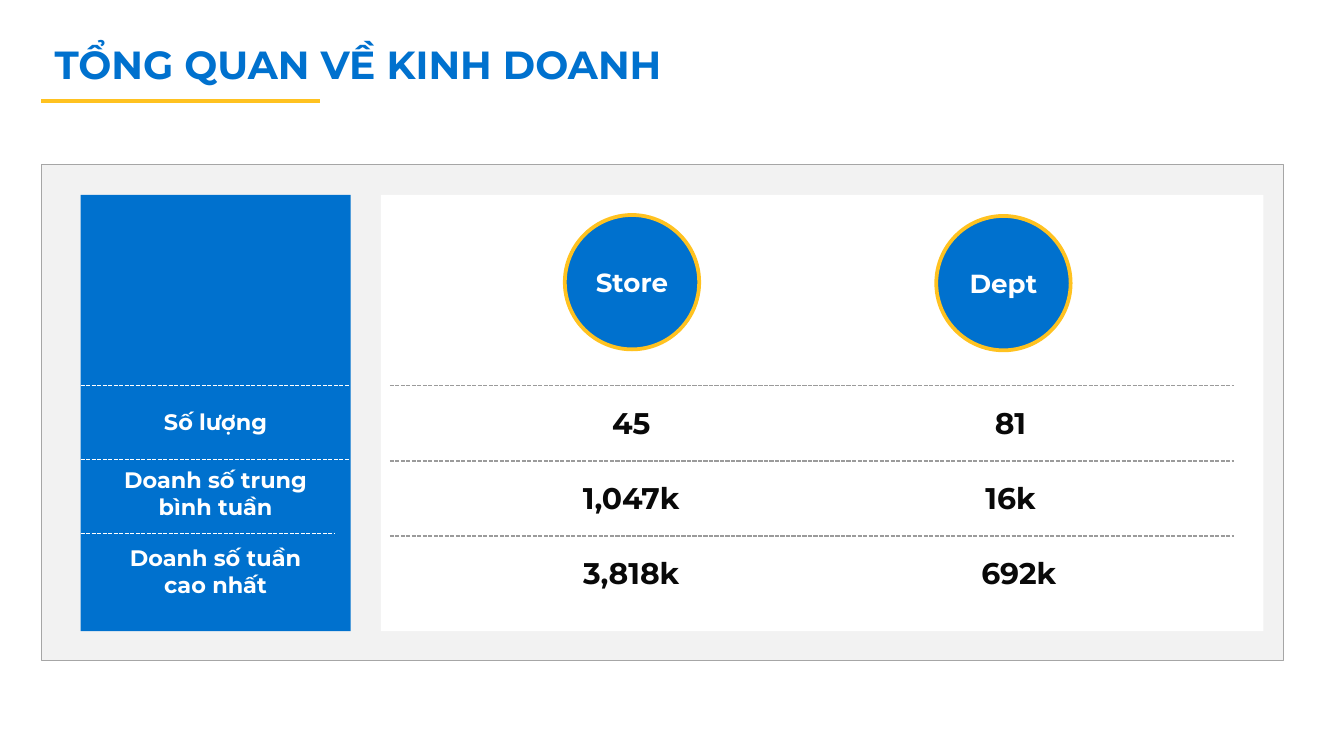
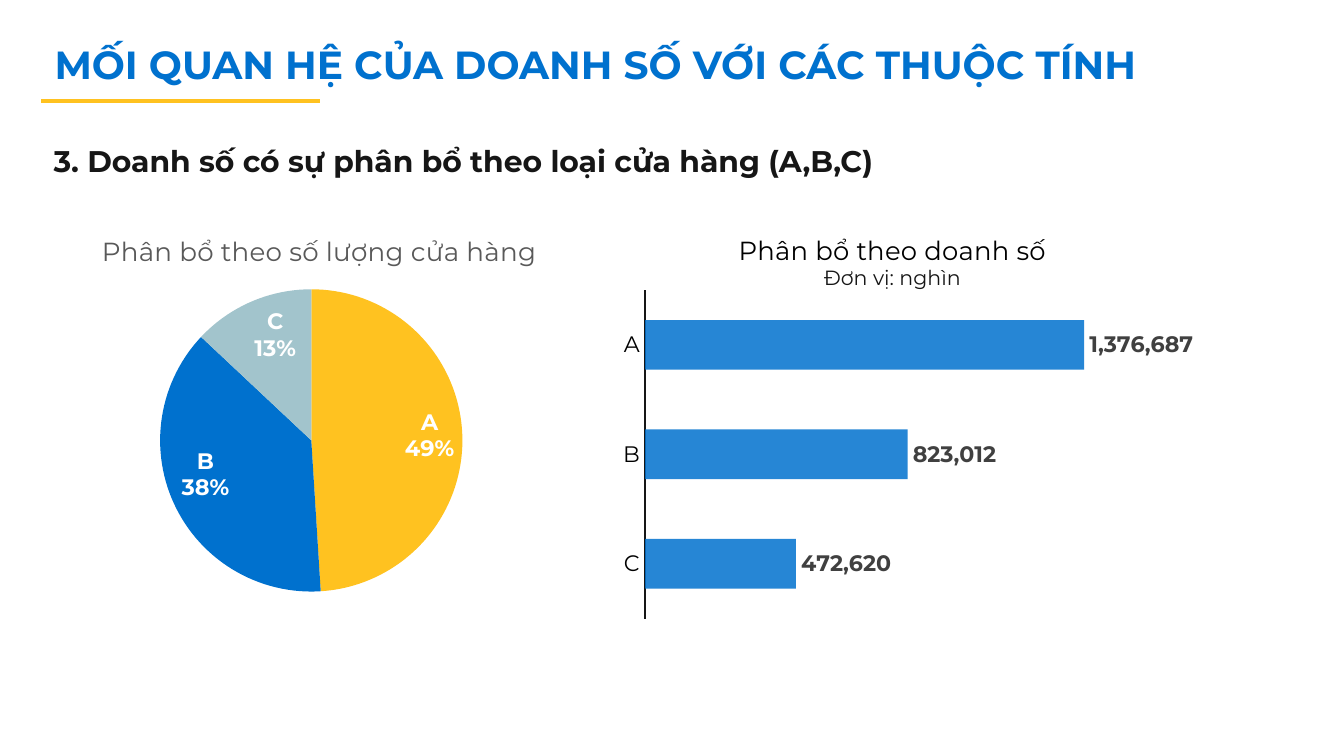
from lxml.etree import SubElement
from pptx import Presentation
from pptx.chart.data import CategoryChartData
from pptx.dml.color import RGBColor
from pptx.enum.chart import XL_CHART_TYPE, XL_LABEL_POSITION, XL_TICK_MARK
from pptx.enum.dml import MSO_LINE
from pptx.enum.shapes import MSO_CONNECTOR, MSO_SHAPE
from pptx.enum.text import MSO_ANCHOR, MSO_AUTO_SIZE, PP_ALIGN
from pptx.oxml.ns import qn
from pptx.util import Pt

FONT = "Montserrat"
HUES = {
    "blue": "0071CE", "gold": "FFC220", "teal": "A2C4CC", "white": "FFFFFF",
    "panel": "F2F2F2", "edge": "A6A6A6", "rule": "9B9B9B", "black": "000000",
    "ink": "090909", "dark": "161616", "label": "404040", "grey": "595959",
}


def tint(name):
    """Return the named colour."""
    return RGBColor.from_string(HUES[name])


def style(font, size, hue, bold=False):
    """Set face, size, colour and weight of a font."""
    font.name, font.size, font.bold = FONT, Pt(size), bold
    font.color.rgb = tint(hue)


def write(frame, text, size=12, hue="dark", bold=False, align=PP_ALIGN.LEFT):
    """Fill a text frame with one formatted paragraph."""
    para = frame.paragraphs[0]
    para.alignment = align
    run = para.add_run()
    run.text = text
    style(run.font, size, hue, bold)


def label(slide, text, left, top, width, height, **form):
    """Add a wrapped text box."""
    box = slide.shapes.add_textbox(Pt(left), Pt(top), Pt(width), Pt(height))
    box.text_frame.word_wrap = True
    write(box.text_frame, text, **form)


def shape(slide, kind, left, top, width, height, fill, edge=None, weight=1):
    """Add a flat filled shape with an optional outline."""
    item = slide.shapes.add_shape(kind, Pt(left), Pt(top), Pt(width), Pt(height))
    item.shadow.inherit = False
    item.fill.solid()
    item.fill.fore_color.rgb = tint(fill)
    if edge:
        item.line.color.rgb = tint(edge)
        item.line.width = Pt(weight)
    else:
        item.line.fill.background()
    return item


def rule(slide, left, right, top, hue, weight=0.75, dash=MSO_LINE.SQUARE_DOT):
    """Add a horizontal line."""
    line = slide.shapes.add_connector(
        MSO_CONNECTOR.STRAIGHT, Pt(left), Pt(top), Pt(right), Pt(top))
    line.line.color.rgb = tint(hue)
    line.line.width = Pt(weight)
    line.line.dash_style = dash
    SubElement(line._element.spPr, qn("a:effectLst"))


def page(deck, text):
    """Add a slide with the shared title and underline."""
    slide = deck.slides.add_slide(deck.slide_layouts[5])
    title = slide.shapes.title
    title.left, title.top, title.width, title.height = Pt(22), Pt(18), Pt(687), Pt(32.4)
    frame = title.text_frame
    frame.auto_size = MSO_AUTO_SIZE.NONE
    frame.vertical_anchor = MSO_ANCHOR.TOP
    write(frame, text, size=21, hue="blue", bold=True)
    rule(slide, 22, 171.4, 54, "gold", 2.25, MSO_LINE.SOLID)
    return slide


def badge(slide, text, left, top):
    """Add a ringed circle holding a column name."""
    disc = shape(slide, MSO_SHAPE.OVAL, left, top, 72, 72, "blue", "gold", 2)
    frame = disc.text_frame
    frame.margin_left = frame.margin_right = 0
    frame.vertical_anchor = MSO_ANCHOR.MIDDLE
    write(frame, text, size=14, hue="white", bold=True, align=PP_ALIGN.CENTER)


def place(parent, index, spot, size):
    """Lay out a chart part by points within a chart of the given size."""
    for old in parent.findall(qn("c:layout")):
        parent.remove(old)
    layout = SubElement(parent, qn("c:layout"))
    parent.insert(index, layout)
    manual = SubElement(layout, qn("c:manualLayout"))
    if len(spot) == 4:
        SubElement(manual, qn("c:layoutTarget")).set("val", "inner")
    for mode in ("xMode", "yMode"):
        SubElement(manual, qn(f"c:{mode}")).set("val", "edge")
    for key, value, full in zip("xywh", spot, size * 2):
        SubElement(manual, qn(f"c:{key}")).set("val", str(value / full))


def graph(slide, kind, rows, box, text, hue, spot, plot):
    """Add a titled single-series chart without a legend."""
    data = CategoryChartData()
    data.categories = list(rows)
    data.add_series("Series 1", list(rows.values()))
    chart = slide.shapes.add_chart(kind, *map(Pt, box), data).chart
    chart.has_legend = False
    style(chart.font, 10, "black")
    chart.has_title = True
    write(chart.chart_title.text_frame, text, size=14, hue=hue, align=PP_ALIGN.CENTER)
    place(chart.chart_title._element, 1, spot, box[2:])
    place(chart._chartSpace.chart.plotArea, 0, plot, box[2:])
    return chart


def pie(slide):
    """Add the pie of store counts."""
    chart = graph(slide, XL_CHART_TYPE.PIE, {"A": 49, "B": 38, "C": 13},
                  (8.6, 114.5, 325.4, 226), "Phân bổ theo số lượng cửa hàng",
                  "grey", (43.4, 8), (77, 40.5, 162.4, 162))
    series = chart.plots[0].series[0]
    for index, hue in enumerate(("gold", "blue", "teal")):
        fill = series.points[index].format.fill
        fill.solid()
        fill.fore_color.rgb = tint(hue)
    tags = series.data_labels
    tags.show_value = False
    tags.show_category_name = tags.show_percentage = True
    tags.position = XL_LABEL_POSITION.INSIDE_END
    style(tags.font, 12, "white", True)
    mark = SubElement(tags._element, qn("c:separator"))
    mark.text = "\n"
    tags._element.find(qn("c:showBubbleSize")).addnext(mark)


def bars(slide):
    """Add the bars of sales by store type."""
    chart = graph(slide, XL_CHART_TYPE.BAR_CLUSTERED,
                  {"C": 472620, "B": 823012, "A": 1376687},
                  (325.4, 114.5, 313.9, 236.9), "Phân bổ theo doanh số",
                  "black", (68.4, 7.5), (20.4, 41, 281.3, 176))
    plot = chart.plots[0]
    plot.gap_width = 120
    plot.vary_by_categories = False
    series = plot.series[0]
    series.format.fill.solid()
    series.format.fill.fore_color.rgb = tint("blue")
    for color in series._element.iter(qn("a:srgbClr")):
        SubElement(color, qn("a:alpha")).set("val", "85000")
    tags = series.data_labels
    tags.show_value = True
    tags.number_format, tags.number_format_is_linked = "#,##0", False
    tags.position = XL_LABEL_POSITION.OUTSIDE_END
    style(tags.font, 12, "label", True)
    side = chart.category_axis
    side.major_tick_mark = side.minor_tick_mark = XL_TICK_MARK.NONE
    side.format.line.color.rgb = tint("dark")
    side.format.line.width = Pt(1.25)
    style(side.tick_labels.font, 12, "black")
    scale = chart.value_axis
    scale.visible = scale.has_major_gridlines = False
    scale.minimum_scale, scale.maximum_scale = 0, 1630000


def sums(deck):
    """Build the business overview slide."""
    slide = page(deck, "TỔNG QUAN VỀ KINH DOANH")
    rect = MSO_SHAPE.RECTANGLE
    shape(slide, rect, 22.3, 88.2, 665.3, 265.7, "panel", "edge", 0.5)
    shape(slide, rect, 204, 104.4, 472.8, 233.8, "white")
    shape(slide, rect, 43.2, 104.4, 144.7, 233.8, "blue")
    badge(slide, "Store", 302.6, 115.2)
    badge(slide, "Dept", 501.6, 115.7)
    rows = (
        ("Số lượng", 215.3, 21.6, 187.2, "45", "81", 541.4),
        ("Doanh số trung bình tuần", 246.2, 36, 187.2, "1,047k", "16k", 541.4),
        ("Doanh số tuần cao nhất", 288, 36, 179.3, "3,818k", "692k", 545.8),
    )
    for index, (name, top, height, end, store, dept, mid) in enumerate(rows):
        rule(slide, 208.8, 661, 206.6 + 40.3 * index, "rule")
        rule(slide, 43.2, end, 206.6 + 39.6 * index, "white")
        label(slide, name, 50, top, 131, height, hue="white", bold=True,
              align=PP_ALIGN.CENTER)
        for text, axis in ((store, 338.2), (dept, mid)):
            label(slide, text, axis - 57.6, 213.1 + 40.3 * index, 115.2, 26.6,
                  size=16, hue="ink", bold=True, align=PP_ALIGN.CENTER)


def split(deck):
    """Build the slide on sales by store type."""
    slide = page(deck, "MỐI QUAN HỆ CỦA DOANH SỐ VỚI CÁC THUỘC TÍNH")
    label(slide, "3. Doanh số có sự phân bổ theo loại cửa hàng (A,B,C)",
          21.6, 72.7, 647.3, 28.1, size=16, bold=True)
    pie(slide)
    bars(slide)
    label(slide, "Đơn vị: nghìn", 434.2, 138.2, 97.2, 17.3, size=11)


def main():
    """Build and save the deck."""
    deck = Presentation()
    deck.slide_width, deck.slide_height = Pt(720), Pt(405)
    sums(deck)
    split(deck)
    deck.save("out.pptx")


if __name__ == "__main__":
    main()
